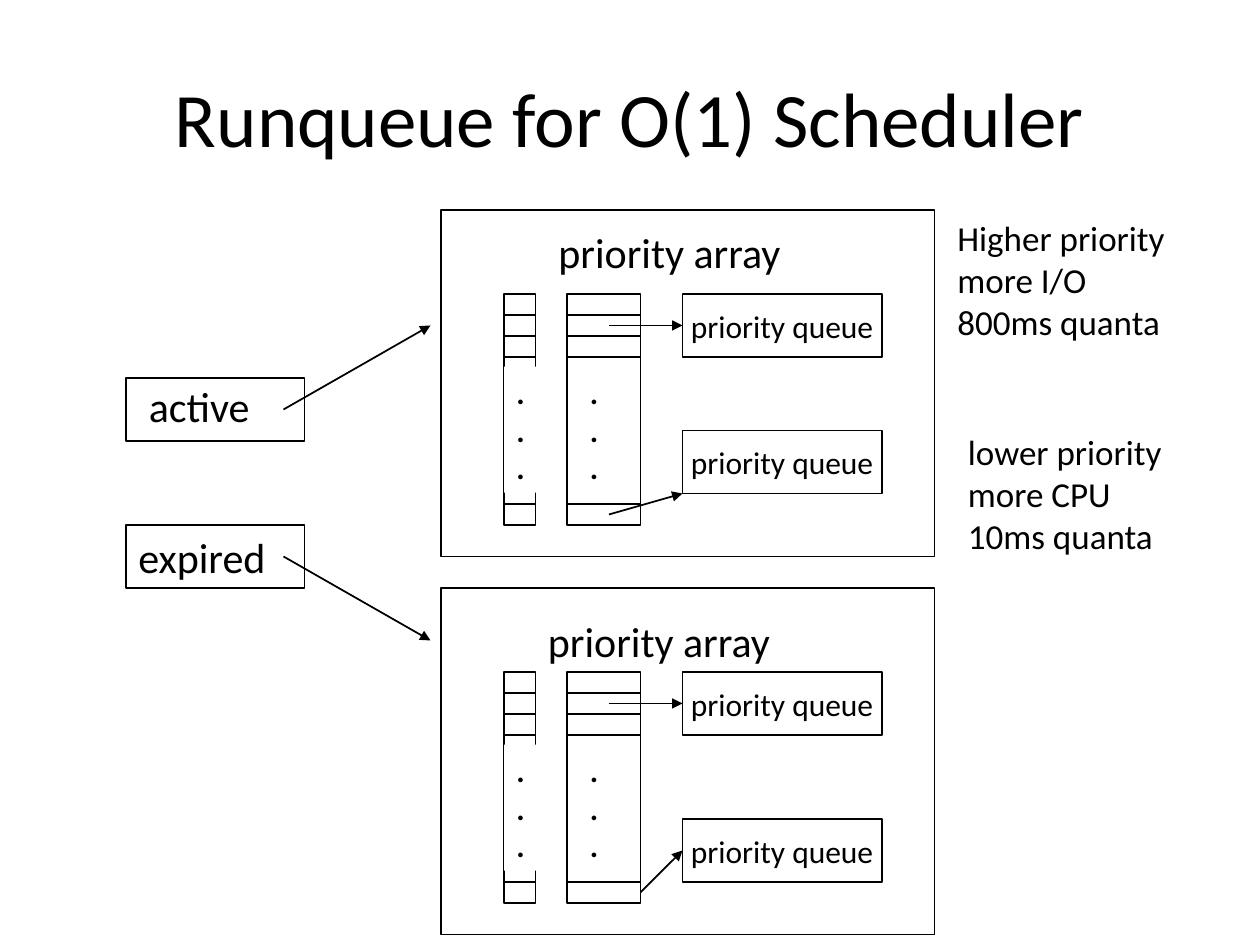
from lxml import etree
from pptx import Presentation
from pptx.dml.color import RGBColor
from pptx.enum.shapes import MSO_CONNECTOR, MSO_SHAPE
from pptx.enum.text import MSO_ANCHOR, MSO_AUTO_SIZE, PP_ALIGN
from pptx.oxml.ns import qn
from pptx.util import Pt

BLACK = RGBColor(0x00, 0x00, 0x00)
WHITE = RGBColor(0xFF, 0xFF, 0xFF)

ARRAY_LEFT, ARRAY_WIDTH, ARRAY_HEIGHT = 252, 282, 198
SLOT_HEIGHT = 12
SLOT_COUNT = 11
SLOT_EDGES = (1, 2, 3, SLOT_COUNT - 1)  # the slots in between are shown as dots
SLOTS_BELOW_ARRAY_TOP = 48
DOTS_BELOW_SLOTS_TOP, DOTS_WIDTH, DOTS_HEIGHT = 41.5, 19.2, 72
QUEUE_LEFT, QUEUE_WIDTH = 390, 114
ROW_HEIGHT = 36  # queues, pointer boxes and one-line labels
POINTER_LEFT, POINTER_WIDTH = 72, 102
POINTER_ARROW_START, POINTER_ARROW_END = 162, 246
NOTE_HEIGHT = 79.2

prs = Presentation()
prs.slide_width, prs.slide_height = Pt(720), Pt(540)
slide = prs.slides.add_slide(prs.slide_layouts[6])


def add_box(left, top, width, height, text="", size=18, bold=False,
            outlined=False, filled=False, centered=False):
    """Add a rectangle, or a bare label when neither outlined nor filled."""
    area = [Pt(value) for value in (left, top, width, height)]
    if outlined or filled:
        box = slide.shapes.add_shape(MSO_SHAPE.RECTANGLE, *area)
        box.shadow.inherit = False
    else:
        box = slide.shapes.add_textbox(*area)
    if filled:
        box.fill.solid()
        box.fill.fore_color.rgb = WHITE
    else:
        box.fill.background()
    if outlined:
        box.line.color.rgb = BLACK
        box.line.width = Pt(1)
    else:
        box.line.fill.background()
    if text:
        frame = box.text_frame
        frame.text = text
        frame.word_wrap = False
        frame.auto_size = MSO_AUTO_SIZE.NONE if centered else MSO_AUTO_SIZE.SHAPE_TO_FIT_TEXT
        frame.vertical_anchor = MSO_ANCHOR.MIDDLE if centered else MSO_ANCHOR.TOP
        for paragraph in frame.paragraphs:
            paragraph.alignment = PP_ALIGN.CENTER if centered else PP_ALIGN.LEFT
            for run in paragraph.runs:
                run.font.name = "Calibri"
                run.font.size = Pt(size)
                run.font.bold = bold
                run.font.color.rgb = BLACK


def add_line(x1, y1, x2, y2, arrow=False):
    line = slide.shapes.add_connector(
        MSO_CONNECTOR.STRAIGHT, Pt(x1), Pt(y1), Pt(x2), Pt(y2))
    line.line.color.rgb = BLACK
    line.line.width = Pt(1)
    properties = line._element.spPr
    if arrow:
        etree.SubElement(properties.find(qn("a:ln")), qn("a:tailEnd"), type="triangle")
    etree.SubElement(properties, qn("a:effectLst"))


add_box(36, 21.6, 648, 90, "Runqueue for O(1) Scheduler", 44, centered=True)

# Array top, label left and top, lower queue top,
# start x of the lower arrow, its end below the lower queue's top
priority_arrays = [
    (120, 312, 126, 246, 348, ROW_HEIGHT),
    (336, 306, 348, 468, 366, ROW_HEIGHT / 2),
]
# Left, width, left of the dots, whether the dots hide the column border
bitmap_column = (288, 18, 288, True)
queue_column = (324, 42, 330, False)

for (array_top, label_left, label_top, lower_queue_top,
     lower_arrow_start, lower_arrow_drop) in priority_arrays:
    add_box(ARRAY_LEFT, array_top, ARRAY_WIDTH, ARRAY_HEIGHT, outlined=True, filled=True)
    add_box(label_left, label_top, 148.3, ROW_HEIGHT, "priority array", 24)

    slots_top = array_top + SLOTS_BELOW_ARRAY_TOP
    for left, width, dots_left, dots_hide_border in (bitmap_column, queue_column):
        add_box(left, slots_top, width, SLOT_COUNT * SLOT_HEIGHT, outlined=True, filled=True)
        for edge in SLOT_EDGES:
            edge_y = slots_top + edge * SLOT_HEIGHT
            add_line(left, edge_y, left + width, edge_y)
        add_box(dots_left, slots_top + DOTS_BELOW_SLOTS_TOP, DOTS_WIDTH, DOTS_HEIGHT,
                ".\n.\n.", bold=True, filled=dots_hide_border)

    for queue_top in (slots_top, lower_queue_top):
        add_box(QUEUE_LEFT, queue_top, QUEUE_WIDTH, ROW_HEIGHT, "priority queue",
                outlined=True, filled=True, centered=True)
    second_slot_y = slots_top + 1.5 * SLOT_HEIGHT
    last_slot_y = slots_top + (SLOT_COUNT - 0.5) * SLOT_HEIGHT
    add_line(348, second_slot_y, QUEUE_LEFT, second_slot_y, arrow=True)
    add_line(lower_arrow_start, last_slot_y,
             QUEUE_LEFT, lower_queue_top + lower_arrow_drop, arrow=True)

# Name, box top, name left, top and width, rise (-) or drop (+) of the arrow
pointers = [
    ("active", 216, 78, 214, 77, -48),
    ("expired", 300, 72, 300, 93.6, 48),
]
for name, pointer_top, name_left, name_top, name_width, arrow_drop in pointers:
    add_box(POINTER_LEFT, pointer_top, POINTER_WIDTH, ROW_HEIGHT, outlined=True)
    add_box(name_left, name_top, name_width, ROW_HEIGHT, name, 24)
    pointer_middle = pointer_top + ROW_HEIGHT / 2
    add_line(POINTER_ARROW_START, pointer_middle,
             POINTER_ARROW_END, pointer_middle + arrow_drop, arrow=True)

quanta_notes = [
    (540, 120, 141, "Higher priority\vmore I/O\n800ms quanta"),
    (546, 242.6, 130.3, "lower priority\vmore CPU\n10ms quanta"),
]
for left, top, width, note in quanta_notes:
    add_box(left, top, width, NOTE_HEIGHT, note, 20)

prs.save("out.pptx")
